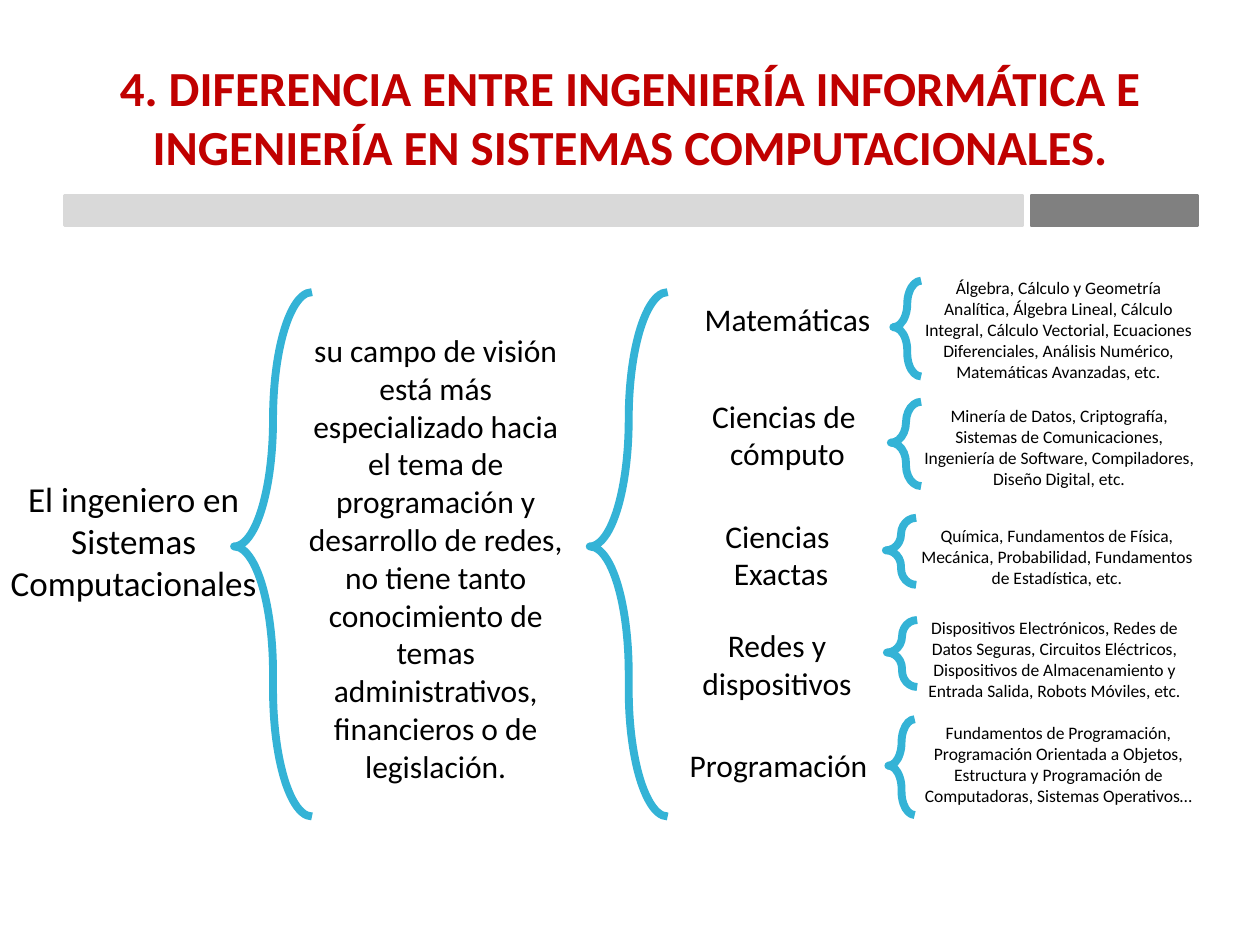
"""Build the slide comparing two engineering degrees with nested braces."""
from dataclasses import dataclass

from pptx import Presentation
from pptx.dml.color import RGBColor
from pptx.enum.shapes import MSO_SHAPE
from pptx.enum.text import MSO_ANCHOR, MSO_AUTO_SIZE, PP_ALIGN
from pptx.util import Cm, Pt


@dataclass(frozen=True)
class Theme:
    font: str = "Calibri"
    title_color: str = "C00000"
    text_color: str = "000000"
    brace_color: str = "34B3D6"
    light_bar: str = "D9D9D9"
    dark_bar: str = "808080"
    title_size: int = 28
    subject_size: int = 20
    topic_size: int = 18
    detail_size: int = 10
    brace_width: float = 4.5
    bar_width: float = 2


THEME = Theme()
COLUMN_WIDTH = 5.99

BARS = [
    ((1.3, 3.94, 19.3, 0.61), THEME.light_bar),
    ((20.8, 3.94, 3.33, 0.61), THEME.dark_bar),
]

SUBJECT = "El ingeniero en Sistemas Computacionales"
VISION = (
    "su campo de visión está más especializado hacia el tema de programación "
    "y desarrollo de redes, no tiene tanto conocimiento de temas "
    "administrativos, financieros o de legislación."
)

TOPICS = [
    ("Matemáticas", (12.88, 5.92, COLUMN_WIDTH, 1.02)),
    ("Ciencias de \ncómputo", (12.88, 7.87, COLUMN_WIDTH, 1.8)),
    ("Ciencias \nExactas", (12.75, 10.29, COLUMN_WIDTH, 1.8)),
    ("Redes y\ndispositivos", (13, 12.5, 5.33, 1.8)),
    ("Programación", (12.7, 14.91, COLUMN_WIDTH, 1.02)),
]

DETAILS = [
    ("Álgebra, Cálculo y Geometría Analítica, Álgebra Lineal, Cálculo Integral, "
     "Cálculo Vectorial, Ecuaciones Diferenciales, Análisis Numérico, "
     "Matemáticas Avanzadas, etc.",
     (18.34, 5.46, COLUMN_WIDTH, 2.39)),
    ("Minería de Datos, Criptografía, Sistemas de Comunicaciones, "
     "Ingeniería de Software, Compiladores, Diseño Digital, etc.",
     (18.34, 8.03, 6.02, 1.96)),
    ("Química, Fundamentos de Física, Mecánica, Probabilidad, "
     "Fundamentos de Estadística, etc.",
     (18.31, 10.46, COLUMN_WIDTH, 1.55)),
    ("Dispositivos Electrónicos, Redes de Datos Seguras, Circuitos Eléctricos, "
     "Dispositivos de Almacenamiento y Entrada Salida, Robots Móviles, etc.",
     (18.26, 12.32, COLUMN_WIDTH, 1.96)),
    ("Fundamentos de Programación, Programación Orientada a Objetos, Estructura "
     "y Programación de Computadoras, Sistemas Operativos…",
     (18.34, 14.43, COLUMN_WIDTH, 1.96)),
]

BRACES = [
    (4.72, 5.89, 1.57, 10.57),
    (11.89, 5.89, 1.57, 10.57),
    (18.01, 5.66, 0.56, 1.93),
    (17.96, 8.1, 0.61, 1.7),
    (17.86, 10.44, 0.61, 1.35),
    (17.88, 12.5, 0.61, 1.35),
    (17.91, 14.5, 0.53, 1.93),
]


def place(bounds):
    return [Cm(length) for length in bounds]


def add_text(slide, text, bounds, *, size, color=THEME.text_color, bold=False,
             anchor=MSO_ANCHOR.TOP, auto_size=MSO_AUTO_SIZE.SHAPE_TO_FIT_TEXT):
    box = slide.shapes.add_textbox(*place(bounds))
    frame = box.text_frame
    frame.word_wrap = True
    frame.auto_size = auto_size
    frame.vertical_anchor = anchor
    frame.text = text
    for para in frame.paragraphs:
        para.alignment = PP_ALIGN.CENTER
        for span in para.runs:
            span.font.name = THEME.font
            span.font.size = Pt(size)
            span.font.bold = bold
            span.font.color.rgb = RGBColor.from_string(color)


def add_outlined(slide, kind, bounds, color, width):
    shape = slide.shapes.add_shape(kind, *place(bounds))
    shape.shadow.inherit = False
    shape.line.color.rgb = RGBColor.from_string(color)
    shape.line.width = Pt(width)
    return shape


def add_bar(slide, bounds, color):
    bar = add_outlined(slide, MSO_SHAPE.RECTANGLE, bounds, color, THEME.bar_width)
    bar.fill.solid()
    bar.fill.fore_color.rgb = RGBColor.from_string(color)


def add_brace(slide, bounds):
    brace = add_outlined(slide, MSO_SHAPE.LEFT_BRACE, bounds,
                         THEME.brace_color, THEME.brace_width)
    brace.fill.background()
    brace.adjustments[0] = 1.75
    brace.adjustments[1] = 0.485


def main():
    deck = Presentation()
    deck.slide_width, deck.slide_height = Cm(25.4), Cm(19.05)
    page = deck.slides.add_slide(deck.slide_layouts[6])

    for bounds, color in BARS:
        add_bar(page, bounds, color)
    add_text(page, "4. DIFERENCIA ENTRE INGENIERÍA INFORMÁTICA E INGENIERÍA EN "
             "SISTEMAS COMPUTACIONALES.", (1.27, 0.76, 22.86, 3.18),
             size=THEME.title_size, color=THEME.title_color, bold=True,
             anchor=MSO_ANCHOR.MIDDLE, auto_size=MSO_AUTO_SIZE.NONE)
    add_text(page, SUBJECT, (-0.3, 9.5, COLUMN_WIDTH, 2.82), size=THEME.subject_size)
    add_text(page, VISION, (5.79, 6.55, COLUMN_WIDTH, 9.5), size=THEME.topic_size)
    for text, bounds in TOPICS:
        add_text(page, text, bounds, size=THEME.topic_size)
    for text, bounds in DETAILS:
        add_text(page, text, bounds, size=THEME.detail_size)
    for bounds in BRACES:
        add_brace(page, bounds)

    deck.save("out.pptx")


if __name__ == "__main__":
    main()
